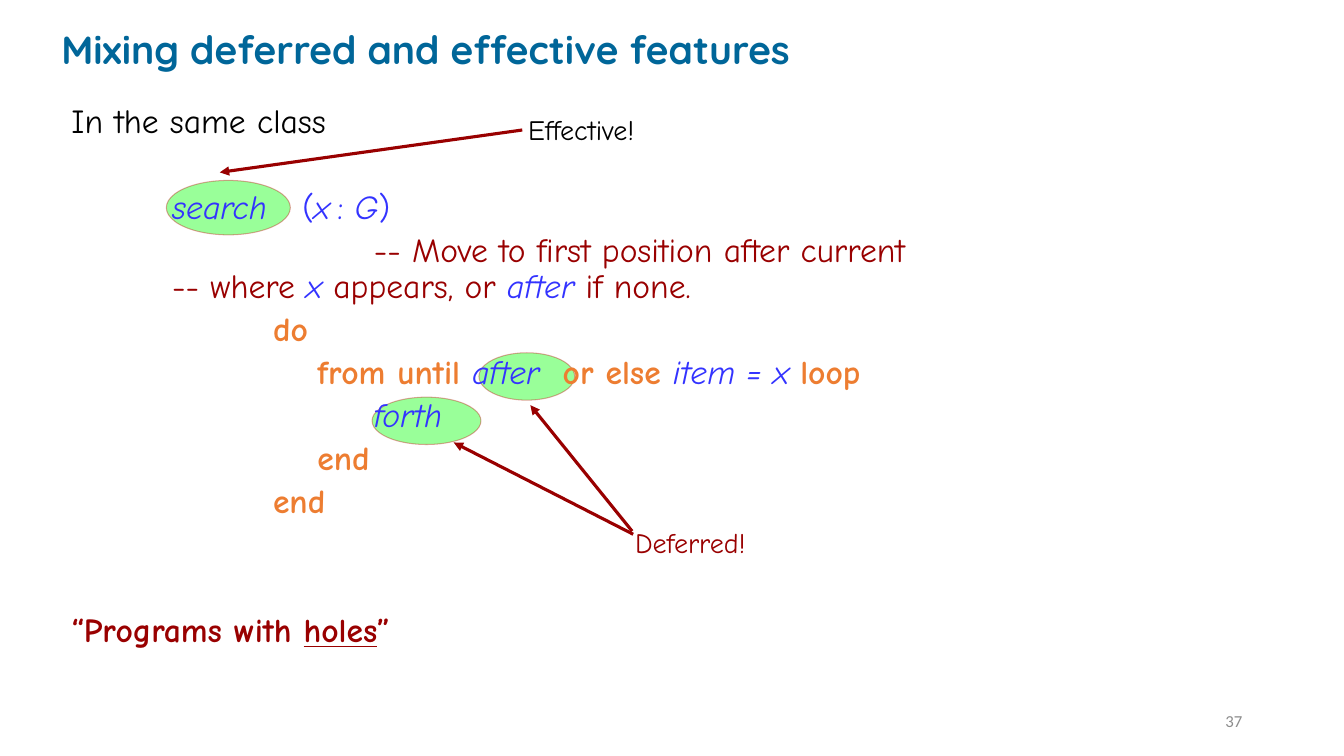
"""Build the slide on mixing deferred and effective features."""
from dataclasses import dataclass

from lxml.etree import SubElement
from pptx import Presentation
from pptx.dml.color import RGBColor
from pptx.enum.shapes import MSO_CONNECTOR, MSO_SHAPE
from pptx.enum.text import MSO_ANCHOR, PP_ALIGN
from pptx.oxml.ns import qn
from pptx.util import Inches, Pt

BLACK, RED, BLUE, ORANGE = "000000", "990000", "3333FF", "ED7D31"
GREEN, TEAL, GREY, EDGE = "99FF99", "006699", "8C8C8C", "C00000"
GAP, PITCH = 4.8, 30.6


@dataclass
class Run:
    """A stretch of text in one style; track widens its characters."""
    text: str
    color: str
    bold: bool = False
    slant: bool = False
    under: bool = False
    size: float = 24
    font: str = "Comic Neue"
    track: float = 0


@dataclass
class Line:
    """A paragraph with its left indent in inches and gap above in points."""
    runs: list[Run]
    indent: float = 0
    gap: float = GAP
    lead: float = 0.9
    align: PP_ALIGN = PP_ALIGN.LEFT


@dataclass
class Box:
    """A text box."""
    left: float
    top: float
    width: float
    height: float
    lines: list[Line]
    pad: float = 0.1
    anchor: MSO_ANCHOR = MSO_ANCHOR.TOP


@dataclass
class Oval:
    """A highlight behind a feature name."""
    left: float
    top: float
    width: float
    height: float


@dataclass
class Arrow:
    """An arrow from a label to a highlight."""
    x: float
    y: float
    to_x: float
    to_y: float


def rgb(color: str) -> RGBColor:
    """Turn a hex string into a colour."""
    return RGBColor.from_string(color)


def code(text: str, **style) -> Run:
    """Make a run for an identifier."""
    return Run(text, BLUE, slant=True, **style)


def key(text: str) -> Run:
    """Make a run for a keyword."""
    return Run(text, ORANGE, bold=True)


def note(text: str) -> Run:
    """Make a run for a comment."""
    return Run(text, RED)


def label(left: float, top: float, text: str, color: str) -> Box:
    """Make the label of an arrow."""
    run = Run(text, color, size=20)
    return Box(left, top, 1.67, 0.43, [Line([run], gap=0, lead=1)])


def add_run(para, run: Run) -> None:
    """Add one run to a paragraph."""
    item = para.add_run()
    item.text = run.text
    font = item.font
    font.name, font.size = run.font, Pt(run.size)
    font.bold, font.italic, font.underline = run.bold, run.slant, run.under
    font.color.rgb = rgb(run.color)
    if run.track:
        item._r.get_or_add_rPr().set("spc", str(round(run.track * 100)))


def add_box(slide, box: Box) -> None:
    """Draw a text box."""
    shape = slide.shapes.add_textbox(
        Inches(box.left), Inches(box.top), Inches(box.width), Inches(box.height))
    frame = shape.text_frame
    frame.word_wrap = True
    frame.vertical_anchor = box.anchor
    frame.margin_left = frame.margin_right = Inches(box.pad)
    frame.margin_top = frame.margin_bottom = Inches(box.pad / 2)
    for i, line in enumerate(box.lines):
        para = frame.add_paragraph() if i else frame.paragraphs[0]
        para.alignment = line.align
        para.line_spacing = line.lead
        para.space_before = Pt(line.gap if i else 0)
        para._p.get_or_add_pPr().set("marL", str(Inches(line.indent)))
        for run in line.runs:
            add_run(para, run)


def add_oval(slide, oval: Oval) -> None:
    """Draw a highlight with a faint outline."""
    shape = slide.shapes.add_shape(
        MSO_SHAPE.OVAL, Inches(oval.left), Inches(oval.top),
        Inches(oval.width), Inches(oval.height))
    shape.shadow.inherit = False
    shape.fill.solid()
    shape.fill.fore_color.rgb = rgb(GREEN)
    shape.line.color.rgb = rgb(EDGE)
    shape.line.width = Pt(0.75)
    tint = shape.get_or_add_ln().find(".//" + qn("a:srgbClr"))
    SubElement(tint, qn("a:alpha"), val="34000")


def add_arrow(slide, arrow: Arrow) -> None:
    """Draw an arrow."""
    link = slide.shapes.add_connector(
        MSO_CONNECTOR.STRAIGHT, Inches(arrow.x), Inches(arrow.y),
        Inches(arrow.to_x), Inches(arrow.to_y))
    link.line.color.rgb = rgb(RED)
    link.line.width = Pt(2.25)
    SubElement(link.get_or_add_ln(), qn("a:tailEnd"), type="triangle")
    SubElement(link._element.spPr, qn("a:effectLst"))


OVALS = [
    Oval(1.65, 1.79, 1.23, 0.54),
    Oval(4.75, 3.5, 0.95, 0.47),
    Oval(3.69, 3.94, 1.08, 0.47),
]
ARROWS = [
    Arrow(6.28, 5.3, 4.5, 4.39),
    Arrow(6.27, 5.27, 5.26, 4.02),
    Arrow(5.18, 1.29, 2.18, 1.71),
]
BODY = [
    Line([Run("In the same class", BLACK)]),
    Line([code("search"), Run(" ", BLUE, track=17.2), Run("(", BLUE), code("x"),
          code(" ", size=16), Run(": ", BLUE), code("G"), Run(")", BLUE)],
         1, GAP + PITCH),
    Line([note("-- Move to first position after current")], 3),
    Line([note("-- where "), code("x "), note("appears, or "),
          code("after "), note("if none.")], 1, 0),
    Line([key("do")], 2),
    Line([key("from until "), code("after"), code(" ", track=8.6),
          key("or else "), code("item = x "), key("loop")], 2.44),
    Line([code("forth")], 3),
    Line([key("end")], 2.44),
    Line([key("end")], 2),
    Line([Run("“Programs with ", RED, bold=True),
          Run("holes", RED, bold=True, under=True),
          Run("”", RED, bold=True)], 0, GAP + 2 * PITCH),
]
TITLE = Run("Mixing deferred and effective features", TEAL, bold=True,
            size=28, font="Quicksand")
PAGE = Run("37", GREY, size=12, font="Calibri")
BOXES = [
    label(6.2, 5.16, "Deferred!", RED),
    Box(0.61, 0.99, 9.4, 6.17, BODY),
    Box(0.61, 0.27, 9.3, 0.48, [Line([TITLE])], 0, MSO_ANCHOR.MIDDLE),
    label(5.14, 1.07, "Effective!", BLACK),
    Box(9.42, 6.95, 3, 0.4, [Line([PAGE], lead=1, align=PP_ALIGN.RIGHT)],
        anchor=MSO_ANCHOR.MIDDLE),
]

deck = Presentation()
deck.slide_width, deck.slide_height = Inches(13.33), Inches(7.5)
page = deck.slides.add_slide(deck.slide_layouts[6])
for oval in OVALS:
    add_oval(page, oval)
for arrow in ARROWS:
    add_arrow(page, arrow)
for box in BOXES:
    add_box(page, box)
deck.save("out.pptx")
